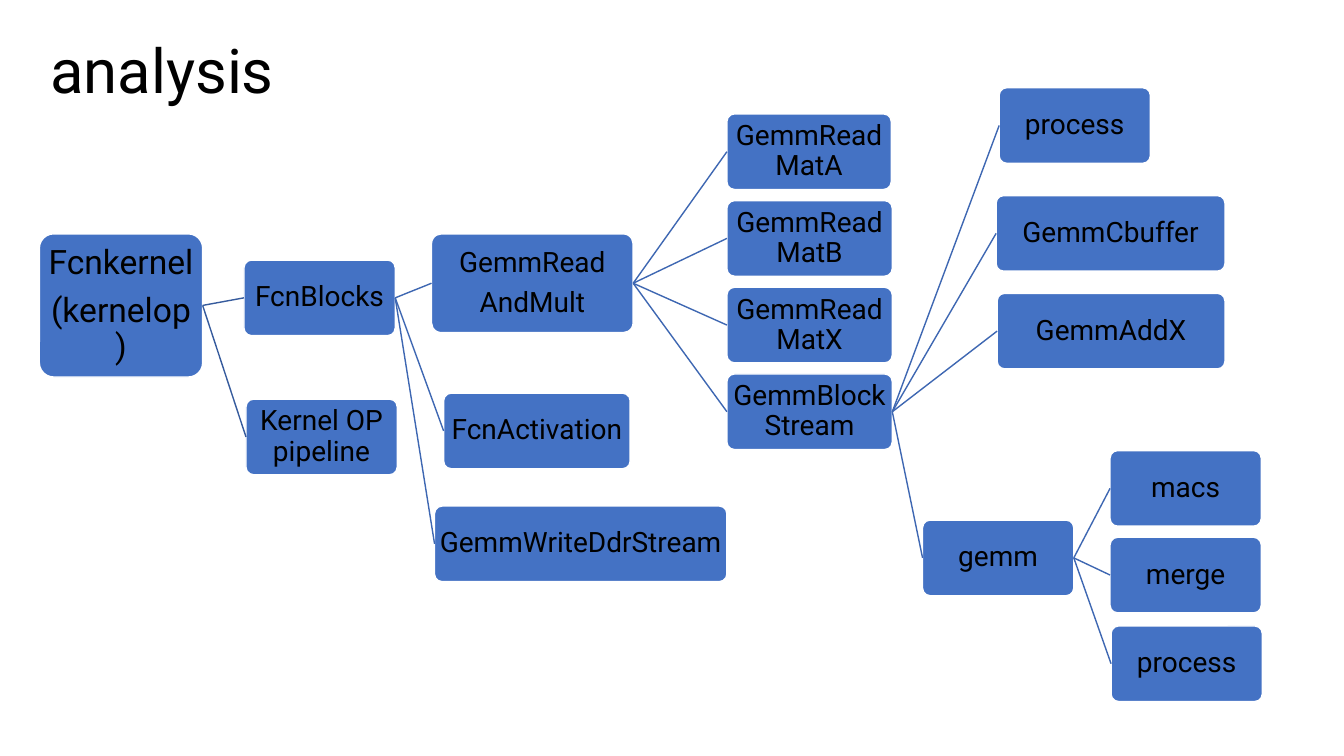
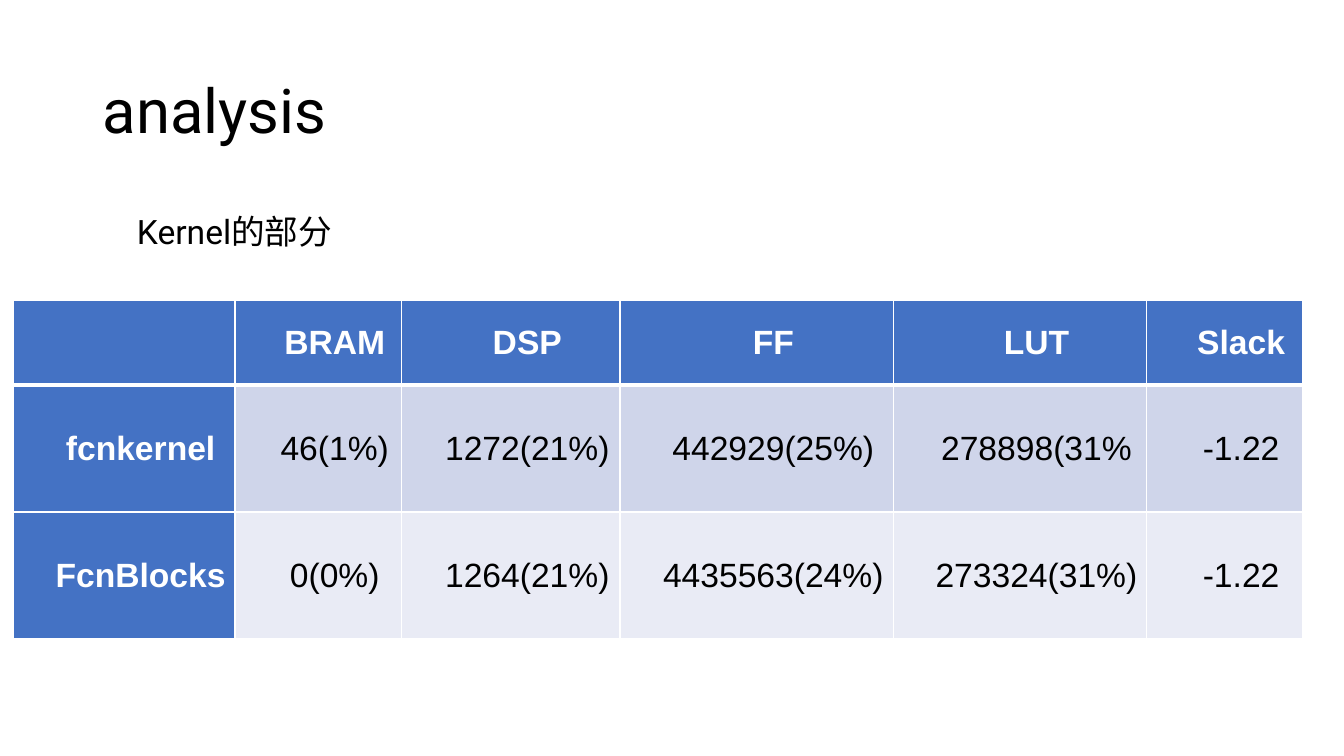
from lxml import etree
from pptx import Presentation
from pptx.dml.color import RGBColor
from pptx.enum.shapes import MSO_CONNECTOR, MSO_SHAPE
from pptx.enum.text import MSO_ANCHOR, PP_ALIGN
from pptx.oxml.ns import qn
from pptx.util import Emu, Pt

ROUND, LINE = MSO_SHAPE.ROUNDED_RECTANGLE, MSO_CONNECTOR.STRAIGHT
MIDDLE, CENTER = MSO_ANCHOR.MIDDLE, PP_ALIGN.CENTER
RIGHT_SIDE, LEFT_SIDE = 3, 1


class Theme:
    blue, white, black = "4472C4", "FFFFFF", "000000"
    bands = ("CFD5EA", "E9EBF5")
    root_line, line = "365B9D", "3E67B2"
    font, table_font = "Roboto", "Arial"
    title, large, body = 44, 24, 20
    spacing, after = 0.9, 0.35


# Content: each node is (text, left, top, width, height, children)
SIDE = 75
TREE = ("Fcnkernel\n(kernelop)", 39, 232, 162, 142, [
    ("FcnBlocks", 242, 258, 150, SIDE, [
        ("GemmRead\nAndMult", 428, 232, 200, 98, [
            ("GemmReadMatA", 721, 113, 163, SIDE, []),
            ("GemmReadMatB", 721, 199, 164, SIDE, []),
            ("GemmReadMatX", 721, 285, 164, SIDE, []),
            ("GemmBlockStream", 721, 371, 164, SIDE, [
                ("process", 991, 87, 150, SIDE, []),
                ("GemmCbuffer", 988, 194, 227, SIDE, []),
                ("GemmAddX", 989, 291, 226, SIDE, []),
                ("gemm", 915, 516, 150, SIDE, [
                    ("macs", 1101, 447, 150, SIDE, []),
                    ("merge", 1101, 533, 150, SIDE, []),
                    ("process", 1102, 621, 150, SIDE, []),
                ]),
            ]),
        ]),
        ("FcnActivation", 440, 390, 185, SIDE, []),
        ("GemmWriteDdrStream", 431, 502, 290, SIDE, []),
    ]),
    ("Kernel OP pipeline", 244, 396, 150, SIDE, []),
])

ROWS = [
    ("", "BRAM", "DSP", "FF", "LUT", "Slack"),
    ("fcnkernel", "46(1%)", "1272(21%)", "442929(25%)", "278898(31%", "-1.22"),
    ("FcnBlocks", "0(0%)", "1264(21%)", "4435563(24%)", "273324(31%)", "-1.22"),
]
COLS = (220, 165, 217, 271, 251, 155)
HEIGHTS = (84, 126, 126)


# Shared helpers
def px(n):
    return Emu(n * 9144)


def rgb(code):
    return RGBColor.from_string(code)


def style(para, size, color=Theme.black, font=Theme.font, bold=False):
    for run in para.runs:
        run.font.size, run.font.name, run.font.bold = Pt(size), font, bold
        run.font.color.rgb = rgb(color)


def add_text(slide, text, box, size, spacing=1.0):
    frame = slide.shapes.add_textbox(*map(px, box)).text_frame
    frame.text = text
    frame.word_wrap, frame.vertical_anchor = True, MIDDLE
    frame.paragraphs[0].line_spacing = spacing
    style(frame.paragraphs[0], size)


def new_slide(deck, title, left, top):
    slide = deck.slides.add_slide(deck.slide_layouts[6])
    add_text(slide, title, (left, top, 1150, 145), Theme.title, Theme.spacing)
    return slide


# Call tree
def add_node(slide, node, parent=None):
    text, *box, kids = node
    shape = slide.shapes.add_shape(ROUND, *map(px, box))
    shape.shadow.inherit = False
    shape.adjustments[0] = 0.1
    shape.fill.solid()
    shape.fill.fore_color.rgb = rgb(Theme.blue)
    shape.line.color.rgb, shape.line.width = rgb(Theme.white), Pt(1)
    size, inset = (Theme.body, 1) if parent else (Theme.large, 2)
    frame = shape.text_frame
    frame.text = text
    frame.word_wrap, frame.vertical_anchor = True, MIDDLE
    frame.margin_left = frame.margin_right = px(inset)
    frame.margin_top = frame.margin_bottom = px(inset)
    for para in frame.paragraphs:
        para.alignment, para.line_spacing = CENTER, Theme.spacing
        style(para, size)
    for para in frame.paragraphs[:-1]:
        para.space_after = Pt(size * Theme.after)
    for kid in kids:
        child = add_node(slide, kid, shape)
        add_link(slide, shape, child, Theme.line if parent else Theme.root_line)
    return shape


def add_link(slide, start, end, color):
    link = slide.shapes.add_connector(LINE, 0, 0, 0, 0)
    link.begin_connect(start, RIGHT_SIDE)
    link.end_connect(end, LEFT_SIDE)
    link.line.color.rgb, link.line.width = rgb(color), Pt(1)
    etree.SubElement(link._element.spPr, qn("a:effectLst"))


# Table
def add_border(cell, bottom):
    props = cell._tc.get_or_add_tcPr()
    for i, (tag, width) in enumerate(
            (("lnL", 1), ("lnR", 1), ("lnT", 1), ("lnB", bottom))):
        edge = etree.Element(qn("a:" + tag), w=str(Pt(width)))
        fill = etree.SubElement(edge, qn("a:solidFill"))
        etree.SubElement(fill, qn("a:srgbClr"), val=Theme.white)
        props.insert(i, edge)


def fill_cell(cell, text, row, col):
    head = row == 0 or col == 0
    cell.text = text
    cell.vertical_anchor = MIDDLE
    cell.margin_left = cell.margin_right = px(7)
    cell.margin_top = cell.margin_bottom = 0
    cell.fill.solid()
    cell.fill.fore_color.rgb = rgb(Theme.blue if head else Theme.bands[row - 1])
    para = cell.text_frame.paragraphs[0]
    para.alignment = CENTER
    para._p.get_or_add_pPr().set("marL", str(px(33)))
    style(para, Theme.large, Theme.white if head else Theme.black,
          Theme.table_font, head)
    add_border(cell, 1 if row else 3)


def add_usage(slide, left, top):
    table = slide.shapes.add_table(
        len(ROWS), len(COLS), px(left), px(top),
        px(sum(COLS)), px(sum(HEIGHTS))).table
    for col, width in zip(table.columns, COLS):
        col.width = px(width)
    for r, (texts, height) in enumerate(zip(ROWS, HEIGHTS)):
        table.rows[r].height = px(height)
        for c, text in enumerate(texts):
            fill_cell(table.cell(r, c), text, r, c)


def main():
    deck = Presentation()
    deck.slide_width, deck.slide_height = px(1333), px(750)

    slide = new_slide(deck, "analysis", 40, 0)
    add_node(slide, TREE)

    slide = new_slide(deck, "analysis", 92, 40)
    add_usage(slide, 13, 298)
    add_text(slide, "Kernel的部分", (126, 204, 233, 50), Theme.large)

    deck.save("out.pptx")


if __name__ == "__main__":
    main()
